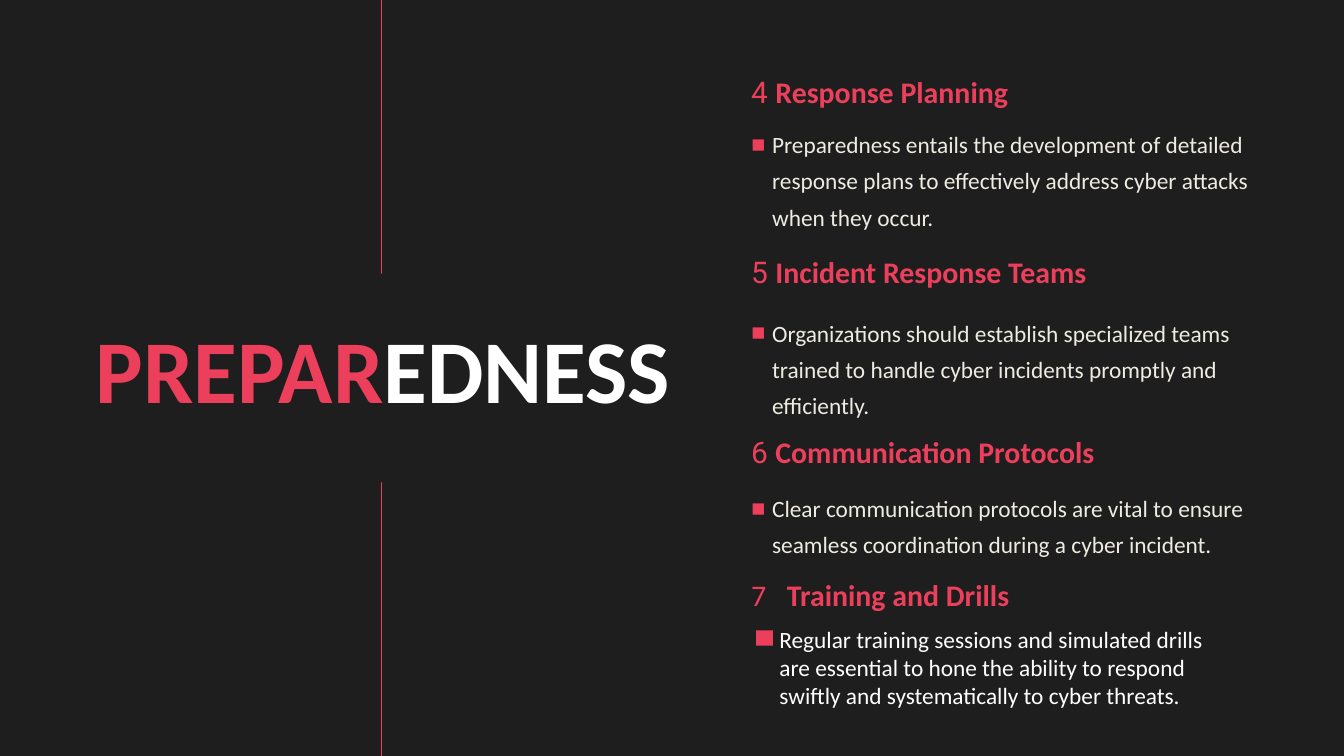
from dataclasses import dataclass
from lxml.etree import SubElement
from pptx import Presentation
from pptx.dml.color import RGBColor
from pptx.enum.shapes import MSO_CONNECTOR, MSO_SHAPE
from pptx.enum.text import MSO_ANCHOR as Anchor, MSO_AUTO_SIZE as AutoSize, PP_ALIGN as Align
from pptx.oxml.ns import qn
from pptx.util import Inches, Pt

TITLE = ("PREPAR", "EDNESS")
# number, heading, text, heading top, text top
SECTIONS = [
    ("4", "Response Planning",
     "Preparedness entails the development of detailed response plans to "
     "effectively address cyber attacks when they occur.", 1.09, 1.76),
    ("5", "Incident Response Teams",
     "Organizations should establish specialized teams trained to handle "
     "cyber incidents promptly and efficiently.", 3.78, 4.57),
    ("6", "Communication Protocols",
     "Clear communication protocols are vital to ensure seamless "
     "coordination during a cyber incident.", 6.46, 7.18),
]
DRILLS = ("7", "Training and Drills",
          "Regular training sessions and simulated drills are essential to hone "
          "the ability to respond swiftly and systematically to cyber threats.")


@dataclass(frozen=True)
class Theme:
    dark: str = "1E1E1E"
    accent: str = "EB3F5C"
    cream: str = "EEECE1"
    white: str = "FFFFFF"
    font: str = "Calibri"
    number_font: str = "Roboto"
    title: int = 96
    heading: int = 32
    body: int = 25


THEME = Theme()
WIDTH, HEIGHT = 20, 11.25
LINE_X, COLUMN_X, COLUMN_W = 5.68, 11.08, 7.94
HEADING_H, LIST_H, INDENT = 0.59, 1.82, 0.31


def color(value):
    return RGBColor.from_string(value)


def place(shape, *lengths):
    for name, length in zip(("left", "top", "width", "height"), lengths):
        setattr(shape, name, Inches(length))


def format_frame(frame, anchor=Anchor.TOP):
    settings = {"word_wrap": True, "auto_size": AutoSize.NONE, "vertical_anchor": anchor}
    for name, value in settings.items():
        setattr(frame, name, value)


def add_span(para, text, size, tint, bold=False, font=THEME.font):
    span = para.add_run()
    span.text = text
    for name, value in {"name": font, "size": Pt(size), "bold": bold}.items():
        setattr(span.font, name, value)
    span.font.color.rgb = color(tint)


def format_para(para, spacing, align=Align.LEFT):
    settings = {"line_spacing": spacing, "space_before": Pt(0), "alignment": align}
    for name, value in settings.items():
        setattr(para, name, value)


def add_bullet(para):
    props = para._p.get_or_add_pPr()
    props.set("marL", str(Inches(INDENT)))
    props.set("indent", str(-Inches(INDENT)))
    tint = SubElement(props, qn("a:buClr"))
    SubElement(tint, qn("a:srgbClr"), val=THEME.accent)
    SubElement(props, qn("a:buChar"), char="■")


def add_tab(para, position):
    stops = SubElement(para._p.get_or_add_pPr(), qn("a:tabLst"))
    SubElement(stops, qn("a:tab"), pos=str(Inches(position)), algn="l")


def add_text_box(slide, *lengths, anchor=Anchor.TOP):
    box = slide.shapes.add_textbox(*map(Inches, lengths))
    format_frame(box.text_frame, anchor)
    return box.text_frame.paragraphs[0]


def add_title(slide):
    title = slide.shapes.title
    place(title, 0.59, 4.07, 10.22, 3.11)
    title.fill.solid()
    title.fill.fore_color.rgb = color(THEME.dark)
    format_frame(title.text_frame, Anchor.MIDDLE)
    para = title.text_frame.paragraphs[0]
    format_para(para, 0.8, Align.CENTER)
    for text, tint in zip(TITLE, (THEME.accent, THEME.white)):
        add_span(para, text, THEME.title, tint, bold=True)


def add_line_behind(slide):
    ends = (LINE_X, 0, LINE_X, HEIGHT)
    line = slide.shapes.add_connector(MSO_CONNECTOR.STRAIGHT, *map(Inches, ends))
    line.line.color.rgb = color(THEME.accent)
    line.line.width = Pt(1)
    SubElement(line._element.spPr, qn("a:effectLst"))
    slide.shapes._spTree.insert(2, line._element)


def add_section(slide, body, number, heading, text, heading_top, text_top):
    para = add_text_box(slide, COLUMN_X, heading_top, COLUMN_W, HEADING_H, anchor=Anchor.BOTTOM)
    format_para(para, 0.9)
    add_span(para, number + " ", THEME.heading, THEME.accent, font=THEME.number_font)
    add_span(para, heading, THEME.heading, THEME.accent, bold=True)

    place(body, COLUMN_X, text_top, COLUMN_W, LIST_H)
    format_frame(body.text_frame)
    para = body.text_frame.paragraphs[0]
    add_bullet(para)
    format_para(para, 1.3)
    add_span(para, text, THEME.body, THEME.cream)


def add_drills(slide):
    number, heading, text = DRILLS
    para = add_text_box(slide, COLUMN_X, 8.53, 6.28, 0.64)
    add_tab(para, 0.53)
    add_span(para, number + "\t", THEME.heading, THEME.accent)
    add_span(para, heading, THEME.heading, THEME.accent, bold=True)

    para = add_text_box(slide, 11.5, 9.26, 7.02, 1.36)
    add_span(para, text, THEME.body, THEME.white)

    marker = slide.shapes.add_shape(MSO_SHAPE.RECTANGLE, *map(Inches, (11.25, 9.38, 0.25, 0.23)))
    marker.shadow.inherit = False
    marker.fill.solid()
    marker.fill.fore_color.rgb = color(THEME.accent)
    marker.line.fill.background()


def main():
    deck = Presentation()
    deck.slide_width, deck.slide_height = Inches(WIDTH), Inches(HEIGHT)
    slide = deck.slides.add_slide(deck.slide_layouts.get_by_name("Comparison"))
    slide.background.fill.solid()
    slide.background.fill.fore_color.rgb = color(THEME.dark)

    add_title(slide)
    add_line_behind(slide)
    bodies = list(slide.placeholders)[1:]
    for body, section in zip(bodies, SECTIONS):
        add_section(slide, body, *section)
    for spare in bodies[len(SECTIONS):]:
        slide.shapes._spTree.remove(spare._element)
    add_drills(slide)
    deck.save("out.pptx")


if __name__ == "__main__":
    main()
